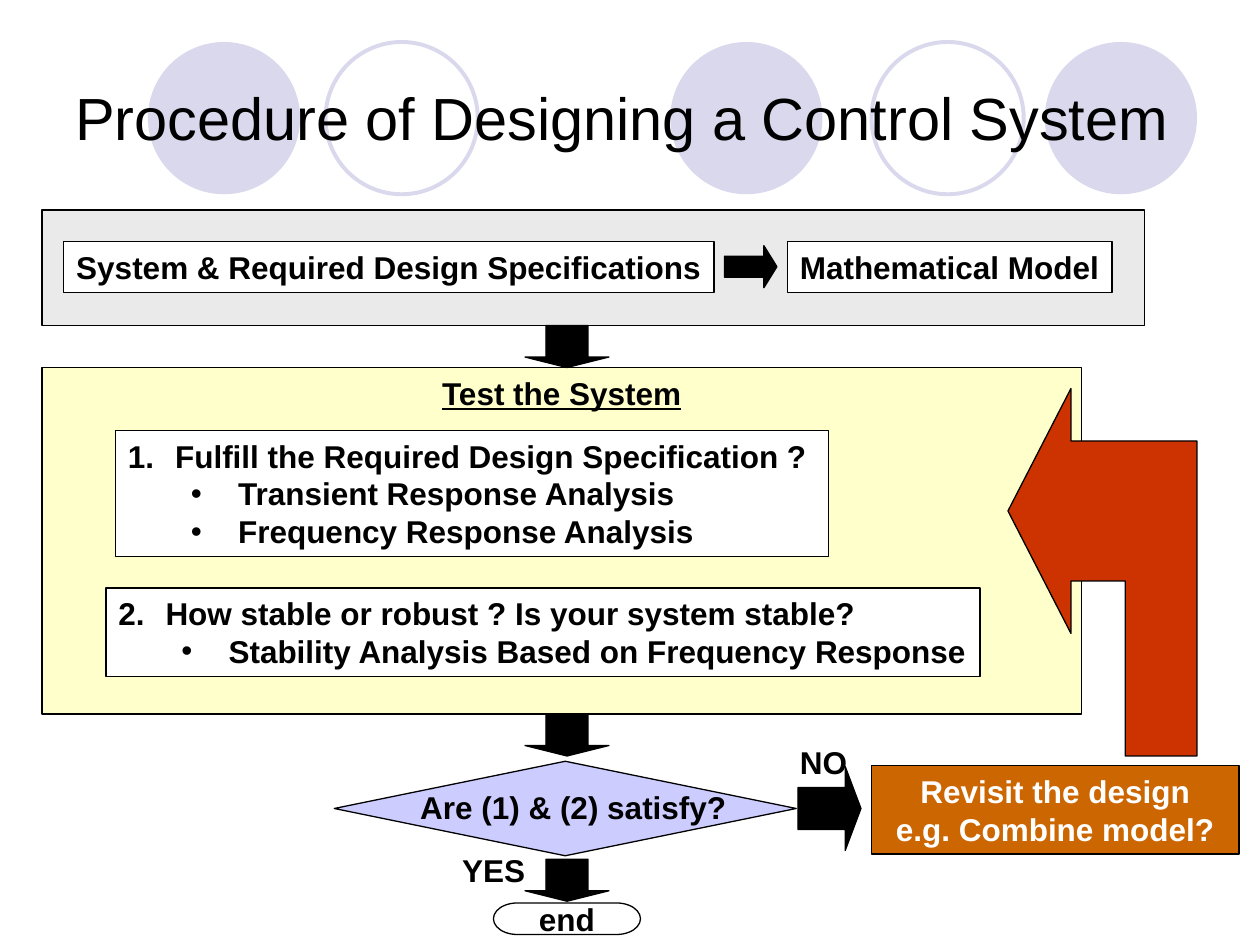
from dataclasses import dataclass

from lxml import etree
from pptx import Presentation
from pptx.dml.color import RGBColor
from pptx.enum.shapes import MSO_SHAPE
from pptx.enum.text import MSO_ANCHOR, MSO_AUTO_SIZE, PP_ALIGN
from pptx.oxml.ns import qn
from pptx.util import Pt

RECT, OVAL = MSO_SHAPE.RECTANGLE, MSO_SHAPE.OVAL
RIGHT, DOWN = MSO_SHAPE.RIGHT_ARROW, MSO_SHAPE.DOWN_ARROW
CHOICE, STOP = MSO_SHAPE.FLOWCHART_DECISION, MSO_SHAPE.FLOWCHART_TERMINATOR
LEFT, CENTER = PP_ALIGN.LEFT, PP_ALIGN.CENTER
TOP, MIDDLE = MSO_ANCHOR.TOP, MSO_ANCHOR.MIDDLE


@dataclass(frozen=True)
class Theme:
    font: str = "Arial"
    title: float = 34
    body: float = 18
    thin: float = 0.75
    thick: float = 2.25
    black: str = "000000"
    white: str = "FFFFFF"
    lilac: str = "D9D8EC"
    gray: str = "EAEAEA"
    cream: str = "FFFFCC"
    blue: str = "CCCCFF"
    brown: str = "CC6600"
    red: str = "CC3300"


THEME = Theme()


def paint(shape, fill=None, line=None, width=THEME.thin):
    shape.shadow.inherit = False
    if fill:
        shape.fill.solid()
        shape.fill.fore_color.rgb = RGBColor.from_string(fill)
    else:
        shape.fill.background()
    if line:
        shape.line.color.rgb = RGBColor.from_string(line)
        shape.line.width = Pt(width)
    else:
        shape.line.fill.background()
    return shape


def draw(slide, kind, box, fill=None, line=THEME.black, width=THEME.thin, adj=()):
    shape = slide.shapes.add_shape(kind, *map(Pt, box))
    for i, value in enumerate(adj):
        shape.adjustments[i] = value
    return paint(shape, fill, line, width)


def arrow(slide, kind, box, head=0.25):
    draw(slide, kind, box, THEME.black, adj=(0.5, head))


def mark(para, level, start):
    para.level = level
    props = para._p.get_or_add_pPr()
    props.set("marL", str(Pt(27 + 36 * level)))
    props.set("indent", str(Pt(-27)))
    if level:
        etree.SubElement(props, qn("a:buFont"), typeface=THEME.font)
        etree.SubElement(props, qn("a:buChar"), char="•")
    else:
        etree.SubElement(props, qn("a:buAutoNum"), type="arabicPeriod", startAt=str(start))


def write(shape, text, size=THEME.body, color=THEME.black, bold=True, under=False,
          align=LEFT, anchor=TOP, wrap=False, start=None):
    frame = shape.text_frame
    frame.auto_size = MSO_AUTO_SIZE.NONE
    frame.word_wrap = wrap
    frame.vertical_anchor = anchor
    for i, line in enumerate(text.split("\n")):
        para = frame.add_paragraph() if i else frame.paragraphs[0]
        para.alignment = align
        if start:
            mark(para, min(i, 1), start)
        run = para.add_run()
        run.text = line
        font = run.font
        font.name, font.size = THEME.font, Pt(size)
        font.bold, font.underline = bold, under
        font.color.rgb = RGBColor.from_string(color)


def label(slide, box, text, **style):
    write(slide.shapes.add_textbox(*map(Pt, box)), text, **style)


def header(slide, box):
    x, y, w, h = box
    for dx in (48.5, 347, 561):
        draw(slide, OVAL, (x + dx, y + 2.4, 87, 87), THEME.lilac, None)
    for dx in (150, 462):
        draw(slide, OVAL, (x + dx, y + 2.4, 87, 87), None, THEME.lilac, THEME.thick)
    label(slide, box, "Procedure of Designing a Control System",
          size=THEME.title, bold=False, anchor=MIDDLE, wrap=True)


def model(slide, box):
    x, y, w, h = box
    draw(slide, RECT, box, THEME.gray)
    for dx, wide, text in ((12.5, 371.5, "System & Required Design Specifications"),
                           (426, 185.5, "Mathematical Model")):
        write(draw(slide, RECT, (x + dx, y + 18, wide, 29), THEME.white), text)
    arrow(slide, RIGHT, (x + 390, y + 20.4, 30, 24), 0.31)


def tests(slide, box):
    x, y, w, h = box
    draw(slide, RECT, box, THEME.cream)
    label(slide, (x, y, w, 29), "Test the System", under=True, align=CENTER, wrap=True)
    items = (
        ((42, 36, 407.5, 72), "Fulfill the Required Design Specification ?\n"
         "Transient Response Analysis\nFrequency Response Analysis"),
        ((36.5, 126, 499.5, 50.5), "How stable or robust ? Is your system stable?\n"
         "Stability Analysis Based on Frequency Response"),
    )
    for num, ((dx, dy, wide, high), text) in enumerate(items, 1):
        panel = draw(slide, RECT, (x + dx, y + dy, wide, high), THEME.white)
        write(panel, text, start=num)


def choice(slide, box):
    x, y, w, h = box
    draw(slide, CHOICE, (x, y, 264, 54), THEME.blue)
    label(slide, (x + 42, y + 11.5, 194.5, 29), "Are (1) & (2) satisfy?")
    end = draw(slide, STOP, (x + 91, y + 81, 84, 18), THEME.white)
    write(end, "end", align=CENTER, anchor=MIDDLE)
    label(slide, (x + 66, y + 48, 50.5, 29), "YES")
    redo = draw(slide, RECT, (x + 307, y + 2.5, 210, 50.5), THEME.brown)
    write(redo, "Revisit the design\ne.g. Combine model?",
          color=THEME.white, align=CENTER, wrap=True)
    label(slide, (x + 259, y - 14, 41, 29), "NO")
    arrow(slide, RIGHT, (x + 265, y + 3, 36, 48))


def loop(slide, box):
    x, y, w, h = box
    neck, foot = x + 36, x + 67
    points = [(foot, y + 110), (neck, y + 110), (neck, y + 140), (x, y + 70),
              (neck, y), (neck, y + 30), (x + w, y + 30), (x + w, y + h)]
    pen = slide.shapes.build_freeform(foot, y + h, scale=Pt(1))
    pen.add_line_segments(points, close=True)
    paint(pen.convert_to_shape(), THEME.red, THEME.black)


def flow(slide, box):
    x, y, w, h = box
    for dy in (0, 222, 305):
        arrow(slide, DOWN, (x, y + dy, w, h))


def main():
    deck = Presentation()
    deck.slide_width, deck.slide_height = Pt(720), Pt(540)
    slide = deck.slides.add_slide(deck.slide_layouts[6])
    header(slide, (36, 21.6, 648, 90))
    model(slide, (24, 120, 630, 66))
    tests(slide, (24, 210, 594, 198))
    choice(slide, (191, 435, 517, 99))
    loop(slide, (576, 222, 108, 210))
    flow(slide, (300, 186, 48, 24))
    deck.save("out.pptx")


if __name__ == "__main__":
    main()
